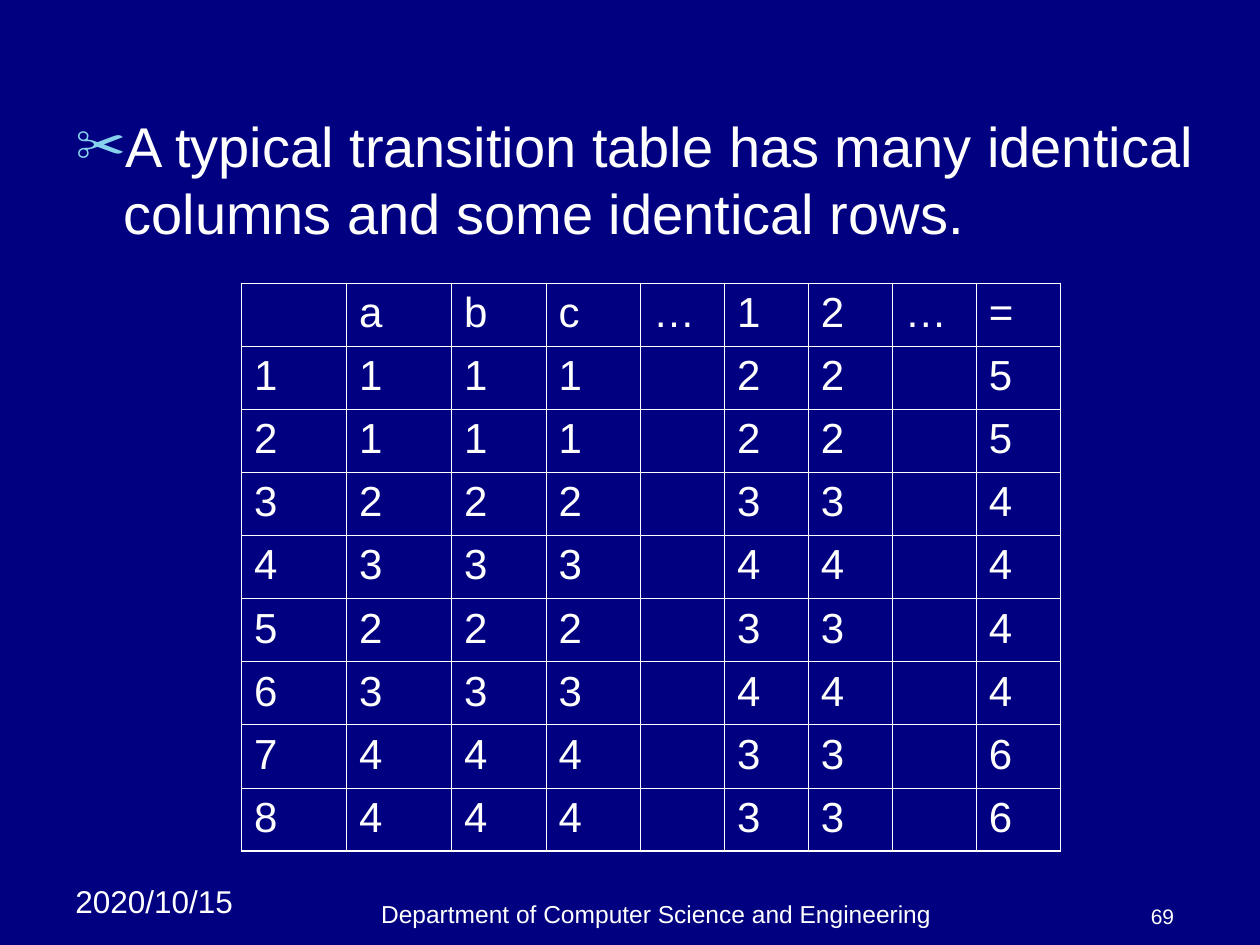
from dataclasses import dataclass

from lxml.etree import SubElement
from pptx import Presentation
from pptx.dml.color import RGBColor
from pptx.enum.text import MSO_ANCHOR, PP_ALIGN
from pptx.oxml.ns import qn
from pptx.util import Inches, Pt


@dataclass(frozen=True)
class Theme:
    font: str = "Arial"
    back: str = "000080"
    ink: str = "FFFFFF"
    bullet: str = "86D1EC"
    body: int = 32
    cell: int = 24
    date: int = 18
    footer: int = 14
    number: int = 12
    outer: float = 1.08
    inner: float = 0.45


THEME = Theme()
UNIT = Inches(1) // 12
COLS, ROWS = 120, 90

TABLE_COLS = (10, 10, 9, 9, 8, 8, 8, 8, 8)
TABLE_ROW = 6
HEADER = ("", "a", "b", "c", "…", "1", "2", "…", "=")
TRANSITIONS = ((1, 2, 5), (1, 2, 5), (2, 3, 4), (3, 4, 4),
               (2, 3, 4), (3, 4, 4), (4, 3, 6), (4, 3, 6))


def grid(*cells):
    return [round(c * UNIT) for c in cells]


def add_run(p, text, size):
    r = p.add_run()
    r.text = text
    r.font.name = THEME.font
    r.font.size = Pt(size)
    r.font.color.rgb = RGBColor.from_string(THEME.ink)


def add_label(s, box, text, size, align, anchor):
    tf = s.shapes.add_textbox(*grid(*box)).text_frame
    tf.word_wrap = True
    tf.vertical_anchor = anchor
    p = tf.paragraphs[0]
    p.alignment = align
    add_run(p, text, size)


def add_footer(s, box):
    x, y, w, h = box
    add_label(s, (x, y - 1.6, 19, 4.8), "2020/10/15", THEME.date,
              PP_ALIGN.LEFT, MSO_ANCHOR.TOP)
    add_label(s, (x + 16, y, 81, h), "Department of Computer Science and Engineering",
              THEME.footer, PP_ALIGN.CENTER, MSO_ANCHOR.BOTTOM)
    add_label(s, (x + w - 8, y, 8, h), "69", THEME.number,
              PP_ALIGN.RIGHT, MSO_ANCHOR.BOTTOM)


def add_body(s, box):
    sp = s.placeholders[1]
    sp.left, sp.top, sp.width, sp.height = grid(*box)
    p = sp.text_frame.paragraphs[0]
    p.space_before = Pt(0)
    pPr = p._p.get_or_add_pPr()
    pPr.set("marL", str(Inches(0.38)))
    pPr.set("indent", str(-Inches(0.38)))
    color = SubElement(pPr, qn("a:buClr"))
    SubElement(color, qn("a:srgbClr"), val=THEME.bullet)
    SubElement(pPr, qn("a:buSzPct"), val="90000")
    SubElement(pPr, qn("a:buChar"), char="✂")
    add_run(p, "A typical transition table has many identical columns "
               "and some identical rows.", THEME.body)


def set_borders(cell, outer_sides):
    tcPr = cell._tc.get_or_add_tcPr()
    for side in "LRTB":
        width = THEME.outer if side in outer_sides else THEME.inner
        ln = SubElement(tcPr, qn(f"a:ln{side}"), w=str(Pt(width)))
        fill = SubElement(ln, qn("a:solidFill"))
        SubElement(fill, qn("a:srgbClr"), val=THEME.ink)


def add_transition_table(s, x, y):
    rows = [HEADER] + [
        (state, letter, letter, letter, "", digit, digit, "", other)
        for state, (letter, digit, other) in enumerate(TRANSITIONS, 1)]
    n, m = len(rows), len(TABLE_COLS)
    box = grid(x, y, sum(TABLE_COLS), n * TABLE_ROW)
    table = s.shapes.add_table(n, m, *box).table
    table.first_row = table.horz_banding = False
    for column, width in zip(table.columns, grid(*TABLE_COLS)):
        column.width = width
    for i, values in enumerate(rows):
        table.rows[i].height = TABLE_ROW * UNIT
        for j, value in enumerate(values):
            cell = table.cell(i, j)
            edges = {"L": j == 0, "R": j == m - 1, "T": i == 0, "B": i == n - 1}
            set_borders(cell, [side for side, outer in edges.items() if outer])
            cell.fill.background()
            if value != "":
                add_run(cell.text_frame.paragraphs[0], str(value), THEME.cell)


def main():
    prs = Presentation()
    prs.slide_width, prs.slide_height = grid(COLS, ROWS)
    s = prs.slides.add_slide(prs.slide_layouts[1])
    s.background.fill.solid()
    s.background.fill.fore_color.rgb = RGBColor.from_string(THEME.back)
    title = s.shapes.title._element
    title.getparent().remove(title)
    add_footer(s, (6, 85, 107, 4))
    add_body(s, (6, 10, 109, 75))
    add_transition_table(s, 23, 27)
    prs.save("out.pptx")


if __name__ == "__main__":
    main()
